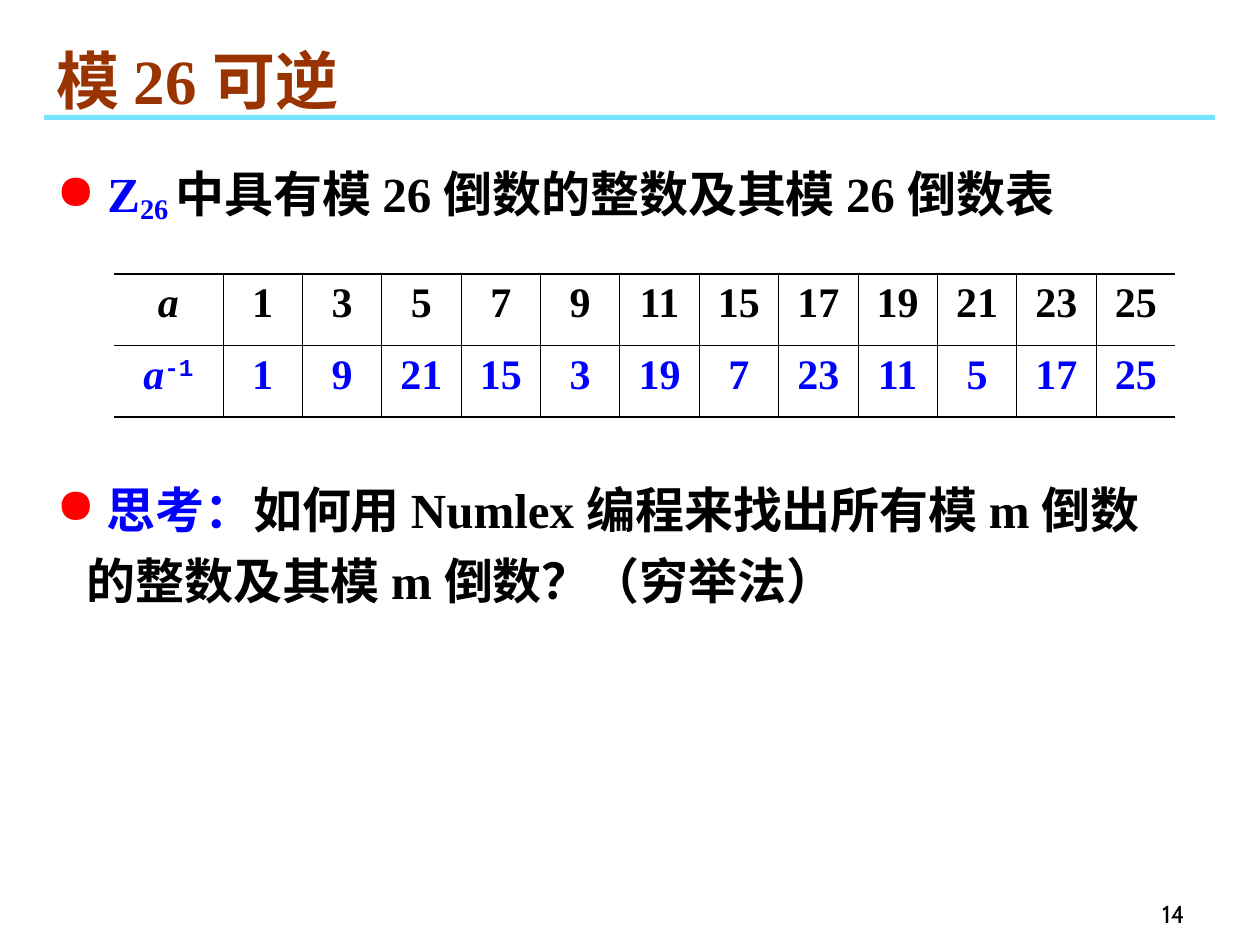
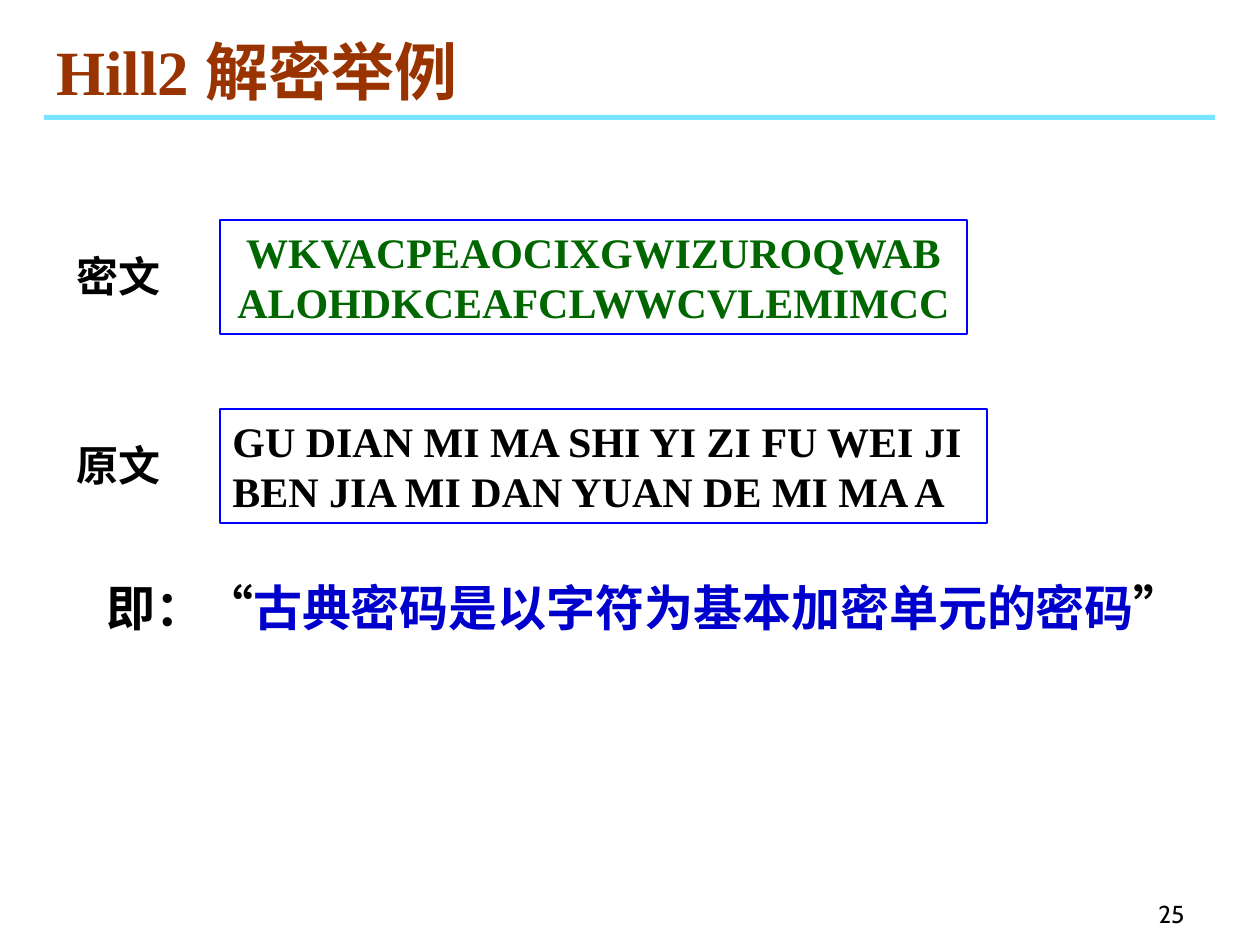
from lxml.etree import SubElement
from pptx import Presentation
from pptx.dml.color import RGBColor
from pptx.enum.shapes import MSO_SHAPE as SHAPE
from pptx.enum.text import MSO_ANCHOR as ANCHOR, MSO_AUTO_SIZE as AUTO, PP_ALIGN as ALIGN
from pptx.oxml import parse_xml
from pptx.oxml.ns import nsdecls, qn
from pptx.util import Emu, Pt

PX = 914400 / 126

BLACK = RGBColor(0x00, 0x00, 0x00)
BLUE = RGBColor(0x00, 0x00, 0xFF)
DEEP_BLUE = RGBColor(0x00, 0x00, 0xCC)
GREEN = RGBColor(0x00, 0x66, 0x00)
BROWN = RGBColor(0x99, 0x33, 0x00)
DARK_RED = RGBColor(0x99, 0x00, 0x00)
RED = RGBColor(0xFF, 0x00, 0x00)
CYAN = RGBColor(0x00, 0xCC, 0xFF)

SERIF = "Times New Roman"
HAN = "Noto Sans CJK SC"
MONO = "Courier New"

TITLE = dict(size=Pt(36), color=BROWN)
BODY = dict(size=Pt(28))
LABEL = dict(size=Pt(24))
NUMBER = dict(size=Pt(14), name="Cabin", bold=False)

INVERSES = [(1, 1), (3, 9), (5, 21), (7, 15), (9, 3), (11, 19),
            (15, 7), (17, 23), (19, 11), (21, 5), (23, 17), (25, 25)]


def px(n):
    return Emu(round(n * PX))


def place(box):
    return [px(n) for n in box]


def add_run(p, text, color=BLACK, baseline=0, **fmt):
    r = p.add_run()
    r.text = text
    for key, value in {"name": SERIF, "bold": True, **fmt}.items():
        setattr(r.font, key, value)
    r.font.color.rgb = color
    rPr = r._r.get_or_add_rPr()
    if baseline:
        rPr.set("baseline", str(baseline * 1000))
    SubElement(rPr, qn("a:ea")).set("typeface", HAN)


def fill_text(tf, runs, base, anchor=ANCHOR.TOP, grow=True, **para):
    settings = dict(word_wrap=True, vertical_anchor=anchor,
                    auto_size=AUTO.SHAPE_TO_FIT_TEXT if grow else AUTO.NONE)
    for key, value in settings.items():
        setattr(tf, key, value)
    p = tf.paragraphs[0]
    for key, value in {"alignment": ALIGN.LEFT, **para}.items():
        setattr(p, key, value)
    for text, fmt in runs:
        add_run(p, text, **{**base, **fmt})
    return p


def add_text(s, box, runs, base, **layout):
    tf = s.shapes.add_textbox(*place(box)).text_frame
    return fill_text(tf, runs, base, **layout)


def hang(p, indent):
    pPr = p._p.get_or_add_pPr()
    pPr.set("marL", str(px(indent)))
    pPr.set("indent", str(-px(indent)))
    return pPr


def add_bullet(s, box, runs):
    pPr = hang(add_text(s, box, runs, BODY, line_spacing=1.2), 30)
    SubElement(SubElement(pPr, qn("a:buClr")), qn("a:srgbClr")).set("val", str(RED))
    SubElement(pPr, qn("a:buChar")).set("char", "●")


def add_frame(s, title, title_box, number):
    band = s.shapes.add_shape(SHAPE.RECTANGLE, *place((44, 115, 1171, 5)))
    band.shadow.inherit = False
    band.fill.solid()
    band.fill.fore_color.rgb = CYAN
    band.line.fill.background()
    color = band._element.spPr.find(".//" + qn("a:srgbClr"))
    SubElement(color, qn("a:alpha")).set("val", "53000")
    add_text(s, title_box, [(title, {})], TITLE, anchor=ANCHOR.BOTTOM)
    add_text(s, (935, 872, 262, 63), [(number, {})], NUMBER,
             anchor=ANCHOR.BOTTOM, grow=False, alignment=ALIGN.RIGHT)


def set_borders(cell, **widths):
    tcPr = cell._tc.get_or_add_tcPr()
    for i, side in enumerate("LRTB"):
        width = widths[side]
        fill = f'<a:solidFill><a:srgbClr val="{BLACK}"/></a:solidFill>' if width else "<a:noFill/>"
        tcPr.insert(i, parse_xml(
            f'<a:ln{side} {nsdecls("a")} w="{Pt(width)}">{fill}</a:ln{side}>'))


def add_inverse_table(s, box):
    x, y, w, h = box
    first_w = 109
    heads = [[("a", dict(italic=True))],
             [("a", dict(italic=True)), ("-1", dict(name=MONO, baseline=30))]]
    colors = [BLACK, BLUE]
    last = len(INVERSES)
    table = s.shapes.add_table(2, last + 1, *place(box)).table
    table.first_row = table.horz_banding = False
    for j, col in enumerate(table.columns):
        col.width = px((w - first_w) / last if j else first_w)
    for i, row in enumerate(table.rows):
        row.height = px(h / 2)
        rows = [heads[i]] + [[(str(pair[i]), {})] for pair in INVERSES]
        for j, runs in enumerate(rows):
            cell = table.cell(i, j)
            cell.fill.background()
            set_borders(cell, L=0.45 if j else 0, R=0.45 if j < last else 0,
                        T=0.45 if i else 1.08, B=1.08 if i else 0.45)
            p = cell.text_frame.paragraphs[0]
            p.alignment, p.space_before = ALIGN.CENTER, Pt(6)
            for text, fmt in runs:
                add_run(p, text, size=Pt(24), color=colors[i], **fmt)


def add_message(s, box, label, text, color, alignment):
    x, y, w, h = box
    frame = s.shapes.add_shape(SHAPE.RECTANGLE, *place(box))
    frame.shadow.inherit = False
    frame.fill.background()
    frame.line.color.rgb = BLUE
    frame.line.width = Pt(0.75)
    fill_text(frame.text_frame, [(text, dict(color=color))], LABEL, alignment=alignment)
    add_text(s, (x - 156, y + 24, 174, 63), [(label, {})], LABEL,
             anchor=ANCHOR.BOTTOM, grow=False, space_before=Pt(15))


def inverse_slide(s):
    add_frame(s, "模 26 可逆", (44, 35, 789, 88), "14")
    lead = (" ", dict(color=DARK_RED))
    add_bullet(s, (44, 145, 1131, 87), [
        lead, ("Z", dict(color=BLUE)), ("26 ", dict(color=BLUE, baseline=-15)),
        ("中具有模 26 倒数的整数及其模 26 倒数表", {})])
    add_inverse_table(s, (114, 274, 1062, 143))
    add_bullet(s, (44, 462, 1131, 154), [
        lead, ("思考：", dict(color=BLUE)),
        ("如何用 Numlex 编程来找出所有模 m 倒数的整数及其模 m 倒数？（穷举法）", {})])


def decrypt_slide(s):
    add_frame(s, "Hill2 解密举例", (44, 26, 764, 88), "25")
    add_message(s, (220, 220, 747, 114), "密文",
                "WKVACPEAOCIXGWIZUROQWABALOHDKCEAFCLWWCVLEMIMCC", GREEN, ALIGN.CENTER)
    add_message(s, (220, 409, 767, 114), "原文",
                "GU DIAN MI MA SHI YI ZI FU WEI JI BEN JIA MI DAN YUAN DE MI MA A",
                BLACK, ALIGN.LEFT)
    p = add_text(s, (94, 542, 1121, 101), [
        ("即：“", dict(name=HAN)), ("古典密码是以", dict(name=HAN, color=DEEP_BLUE)),
        ("字符为基本加密单元的密码", dict(color=DEEP_BLUE)), ("”", {})],
        BODY, line_spacing=1.5)
    hang(p, 63)


def main():
    prs = Presentation()
    prs.slide_width, prs.slide_height = px(1260), px(945)
    for build in (inverse_slide, decrypt_slide):
        build(prs.slides.add_slide(prs.slide_layouts[6]))
    prs.save("out.pptx")


if __name__ == "__main__":
    main()
